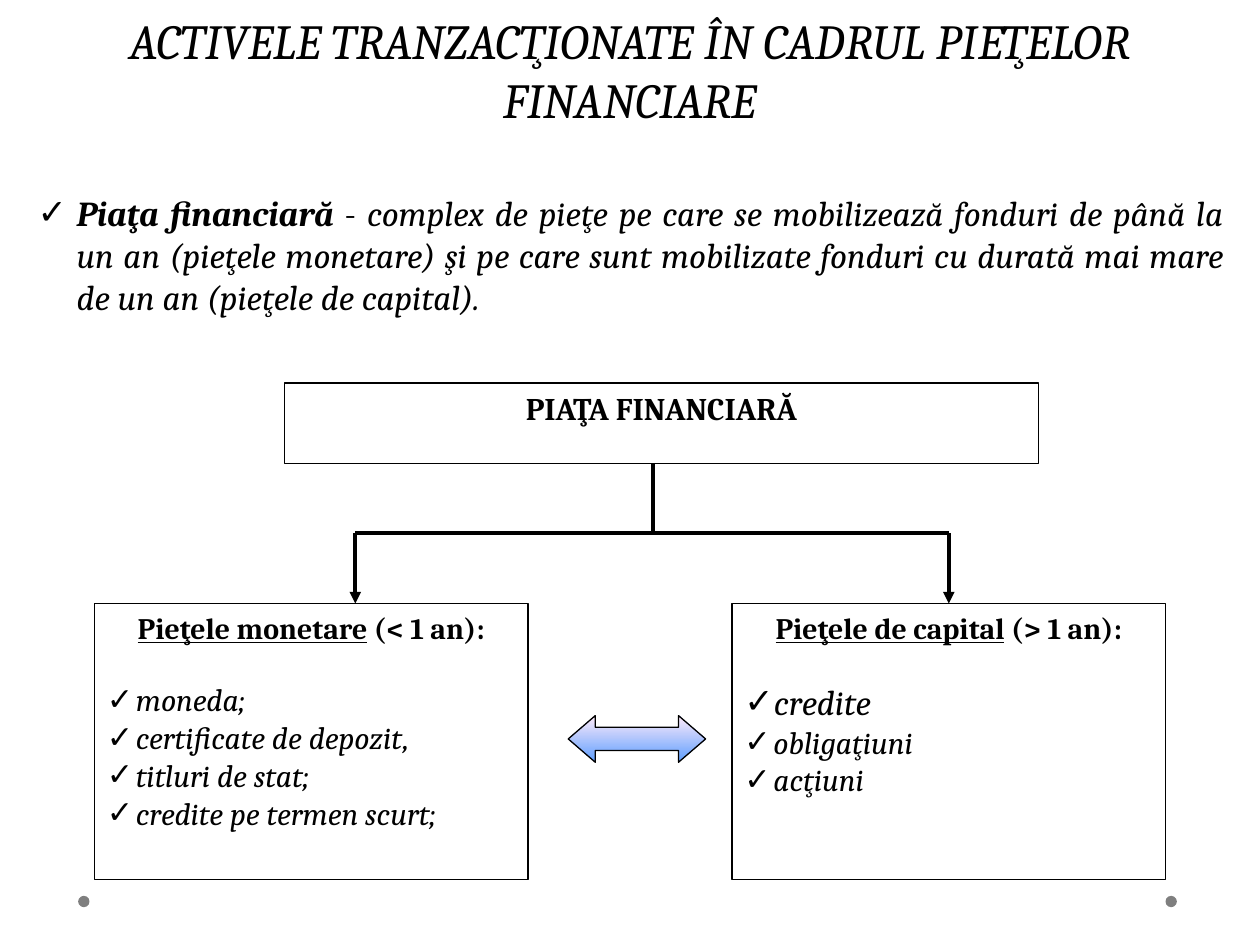
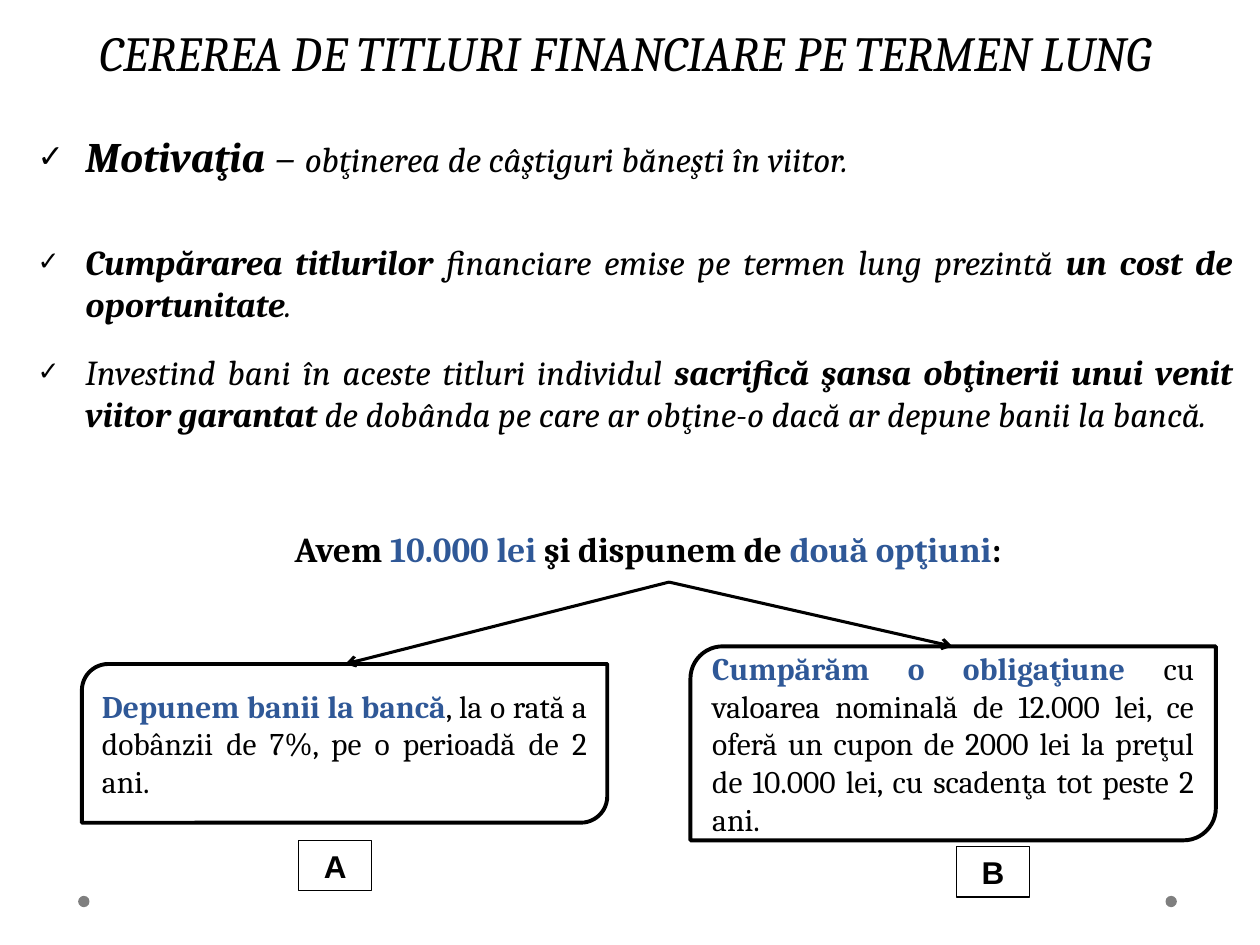
from lxml import etree
from pptx import Presentation
from pptx import util as u
from pptx.dml import color
from pptx.enum import shapes, text
from pptx.oxml import ns

INK, BLUE, WHITE, GREY = "000000", "2F5897", "FFFFFF", "7F7F7F"
MID, JUST, LEFT = text.PP_ALIGN.CENTER, text.PP_ALIGN.JUSTIFY, text.PP_ALIGN.LEFT
TOP, HALF = text.MSO_ANCHOR.TOP, text.MSO_ANCHOR.MIDDLE
KIND = shapes.MSO_SHAPE
STRONG, PLAIN = {"bold": True}, {"bold": False}
hue = color.RGBColor.from_string


def write(shape, paras, base, align, anchor=TOP, hang=0, mark=100):
    frame = shape.text_frame
    frame.word_wrap = True
    frame.auto_size = text.MSO_AUTO_SIZE.NONE
    frame.vertical_anchor = anchor
    for n, runs in enumerate(paras):
        para = frame.add_paragraph() if n else frame.paragraphs[0]
        head = len(paras) > 1 and n == 0
        para.alignment = MID if head else align
        if n == 1:
            para.space_before = u.Pt(20)
        if hang and not head:
            props = para._p.get_or_add_pPr()
            props.set("marL", str(u.Inches(hang)))
            props.set("indent", str(-u.Inches(hang)))
            tint = etree.SubElement(props, ns.qn("a:buClr"))
            etree.SubElement(tint, ns.qn("a:srgbClr"), val=INK)
            etree.SubElement(props, ns.qn("a:buSzPct"), val=str(mark * 1000))
            etree.SubElement(props, ns.qn("a:buFont"), typeface="Arial")
            etree.SubElement(props, ns.qn("a:buChar"), char="✓")
        for words, look in runs:
            run = para.add_run()
            run.text = words
            form = {"name": "Cambria", "size": 18, "color": INK, **base, **look}
            run.font.color.rgb = hue(form.pop("color"))
            form["size"] = u.Pt(form["size"])
            for key, val in form.items():
                setattr(run.font, key, val)


def draw(slide, kind, at, fill=WHITE, line=0.75):
    shape = slide.shapes.add_shape(kind, *map(u.Inches, at))
    shape.shadow.inherit = False
    if fill:
        shape.fill.solid()
        shape.fill.fore_color.rgb = hue(fill)
    else:
        shape.fill.background()
    if line:
        shape.line.color.rgb = hue(INK)
        shape.line.width = u.Pt(line)
    else:
        shape.line.fill.background()
    return shape


deck = Presentation()
deck.slide_width, deck.slide_height = u.Inches(10), u.Inches(7.5)

pages = []
for title, at in [
    ("ACTIVELE TRANZACŢIONATE ÎN CADRUL PIEŢELOR FINANCIARE", (0, 0.13, 10, 0.84)),
    ("CEREREA DE TITLURI FINANCIARE PE TERMEN LUNG", (0.2, 0.13, 9.53, 0.57)),
]:
    page = deck.slides.add_slide(deck.slide_layouts[5])
    for x in (9.25, 0.62):
        draw(page, KIND.OVAL, (x, 7.11, 0.09, 0.09), GREY, 0)
    head = page.shapes.title
    for key, val in zip(("left", "top", "width", "height"), at):
        setattr(head, key, u.Inches(val))
    write(head, [[(title, {})]], {"size": 28, "italic": True}, MID, HALF)
    pages.append(page)
assets, demand = pages

points = [
    (assets, (0.2, 1.47, 9.61, 1.1), 0.31, 100, [
        ("Piaţa financiară ", STRONG),
        ("- ", {"italic": False}),
        ("complex de pieţe pe care se mobilizează fonduri de până la un an "
         "(pieţele monetare) şi pe care sunt mobilizate fonduri cu durată mai mare "
         "de un an (pieţele de capital).", {})]),
    (demand, (0.2, 0.99, 9.72, 0.63), 0.38, 75, [
        ("Motivaţia ", {"bold": True, "size": 24}),
        ("– ", {"size": 24}),
        ("obţinerea de câştiguri băneşti în viitor.", {})]),
    (demand, (0.2, 1.86, 9.68, 0.95), 0.38, 75, [
        ("Cumpărarea titlurilor ", STRONG),
        ("financiare emise pe termen lung prezintă ", {}),
        ("un cost de oportunitate", STRONG),
        (".", {})]),
    (demand, (0.2, 2.73, 9.68, 0.95), 0.38, 75, [
        ("Investind bani în aceste titluri individul ", {}),
        ("sacrifică şansa obţinerii unui venit viitor garantat ", STRONG),
        ("de dobânda pe care ar obţine-o dacă ar depune banii la bancă.", {})]),
]
for page, at, hang, mark, runs in points:
    box = page.shapes.add_textbox(*map(u.Inches, at))
    write(box, [runs], {"size": 20, "italic": True}, JUST, TOP, hang, mark)

root = draw(assets, KIND.RECTANGLE, (2.26, 3.04, 5.98, 0.64))
write(root, [[("PIAŢA FINANCIARĂ", STRONG)]], {}, MID)

for x, name, term, align, items in [
    (0.75, "Pieţele monetare", " (< 1 an):", JUST,
     [("moneda;", 18), ("certificate de depozit,", 18),
      ("titluri de stat;", 18), ("credite pe termen scurt;", 18)]),
    (5.81, "Pieţele de capital", " (> 1 an):", LEFT,
     [("credite", 20), ("obligaţiuni", 18), ("acţiuni", 18)]),
]:
    market = draw(assets, KIND.RECTANGLE, (x, 4.79, 3.44, 2.19))
    bold = {"size": 17, "bold": True}
    paras = [[(name, {**bold, "underline": True}), (term, bold)]]
    paras += [[(item, {"size": size, "italic": True})] for item, size in items]
    write(market, paras, {}, align, TOP, 0.23)

swap = draw(assets, KIND.LEFT_RIGHT_ARROW, (4.51, 5.68, 1.09, 0.37))
swap.adjustments[0], swap.adjustments[1] = 0.5, 0.58
swap.fill.gradient()
swap.fill.gradient_angle = 90
for stop, tint, place in zip(swap.fill.gradient_stops, ("5E9EFF", "FFEBFA"), (0, 1)):
    stop.color.rgb = hue(tint)
    stop.position = place

ask = demand.shapes.add_textbox(*map(u.Inches, (2.24, 4.14, 6.14, 0.48)))
write(ask, [[("Avem ", {}), ("10.000 lei ", {"color": BLUE}), ("şi dispunem de ", {}),
             ("două opţiuni", {"color": BLUE}), (":", {})]],
      {"size": 20, "bold": True}, JUST)

for at, lead, rest, tag, spot in [
    ((0.65, 5.27, 4.17, 1.26), "Depunem banii la bancă",
     ", la o rată a dobânzii de 7%, pe o perioadă de 2 ani.", "A", (2.37, 6.67)),
    ((5.48, 5.13, 4.17, 1.54), "Cumpărăm o obligaţiune ",
     "cu valoarea nominală de 12.000 lei, ce oferă un cupon de 2000 lei la preţul "
     "de 10.000 lei, cu scadenţa tot peste 2 ani.", "B", (7.59, 6.72)),
]:
    choice = draw(demand, KIND.ROUND_2_DIAG_RECTANGLE, at, WHITE, 2.25)
    write(choice, [[(lead, {"bold": True, "color": BLUE}), (rest, PLAIN)]], {}, JUST, HALF)
    label = draw(demand, KIND.RECTANGLE, (*spot, 0.58, 0.4), None)
    write(label, [[(tag, STRONG)]], {"name": "Arial"}, MID)

for page, ends, width, tip, start, goal in [
    (assets, (5.18, 3.68, 5.18, 4.23), 2.25, None, None, None),
    (assets, (2.82, 4.23, 7.53, 4.23), 2.25, None, None, None),
    (assets, (2.82, 4.23, 2.82, 4.79), 2.25, "triangle", None, None),
    (assets, (7.53, 4.23, 7.53, 4.79), 2.25, "triangle", None, market),
    (demand, (5.31, 4.62, 2.74, 5.27), 1.75, "arrow", ask, None),
    (demand, (5.31, 4.62, 7.56, 5.13), 1.75, "arrow", ask, None),
]:
    link = page.shapes.add_connector(shapes.MSO_CONNECTOR.STRAIGHT, *map(u.Inches, ends))
    link.line.color.rgb = hue(INK)
    link.line.width = u.Pt(width)
    if tip:
        etree.SubElement(link.line._get_or_add_ln(), ns.qn("a:tailEnd"), type=tip)
    etree.SubElement(link._element.spPr, ns.qn("a:effectLst"))
    if start:
        link.begin_connect(start, 2)
    if goal:
        link.end_connect(goal, 0)

deck.save("out.pptx")
